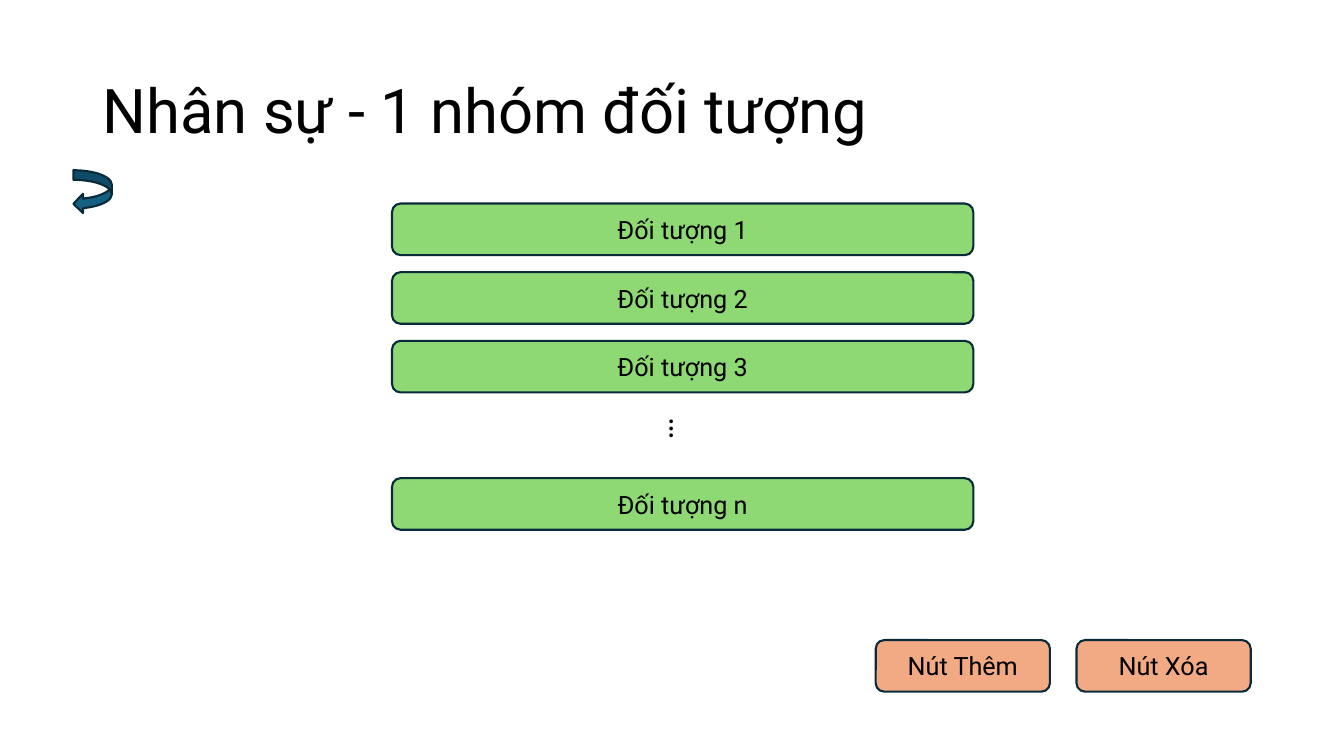
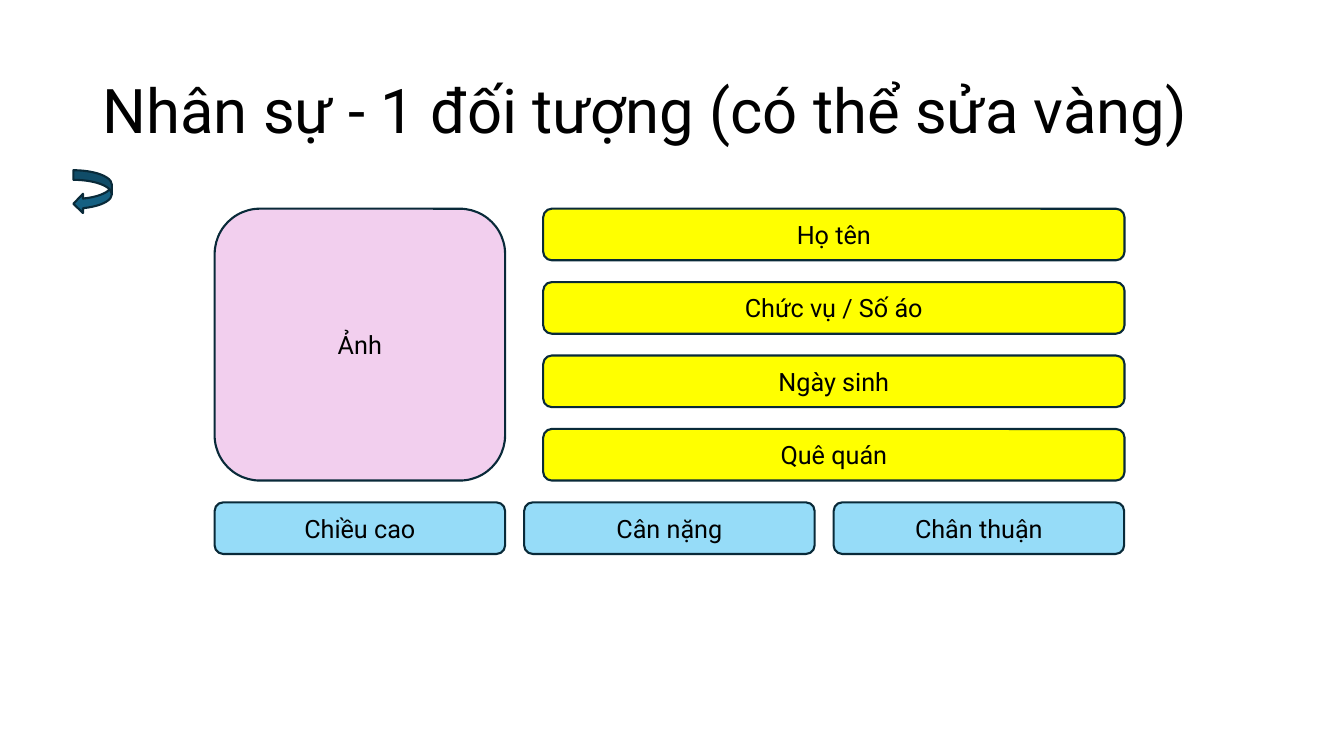
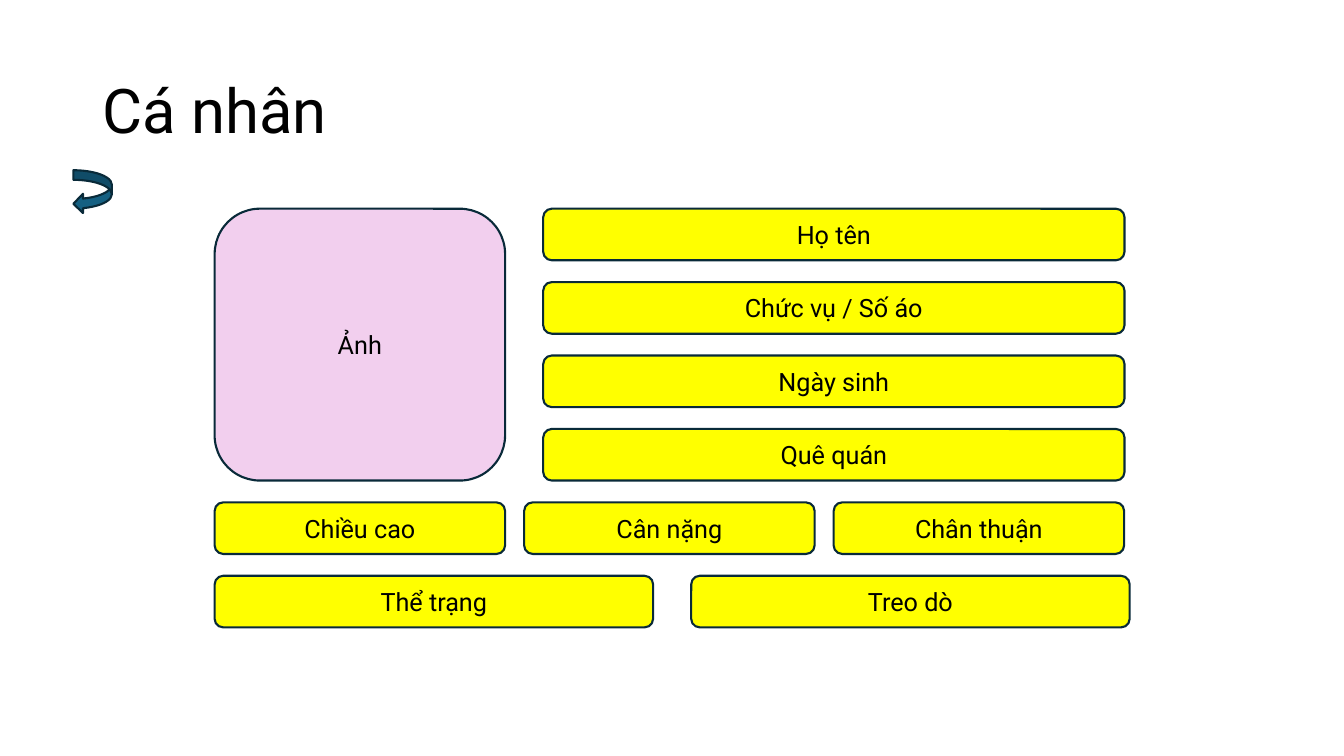
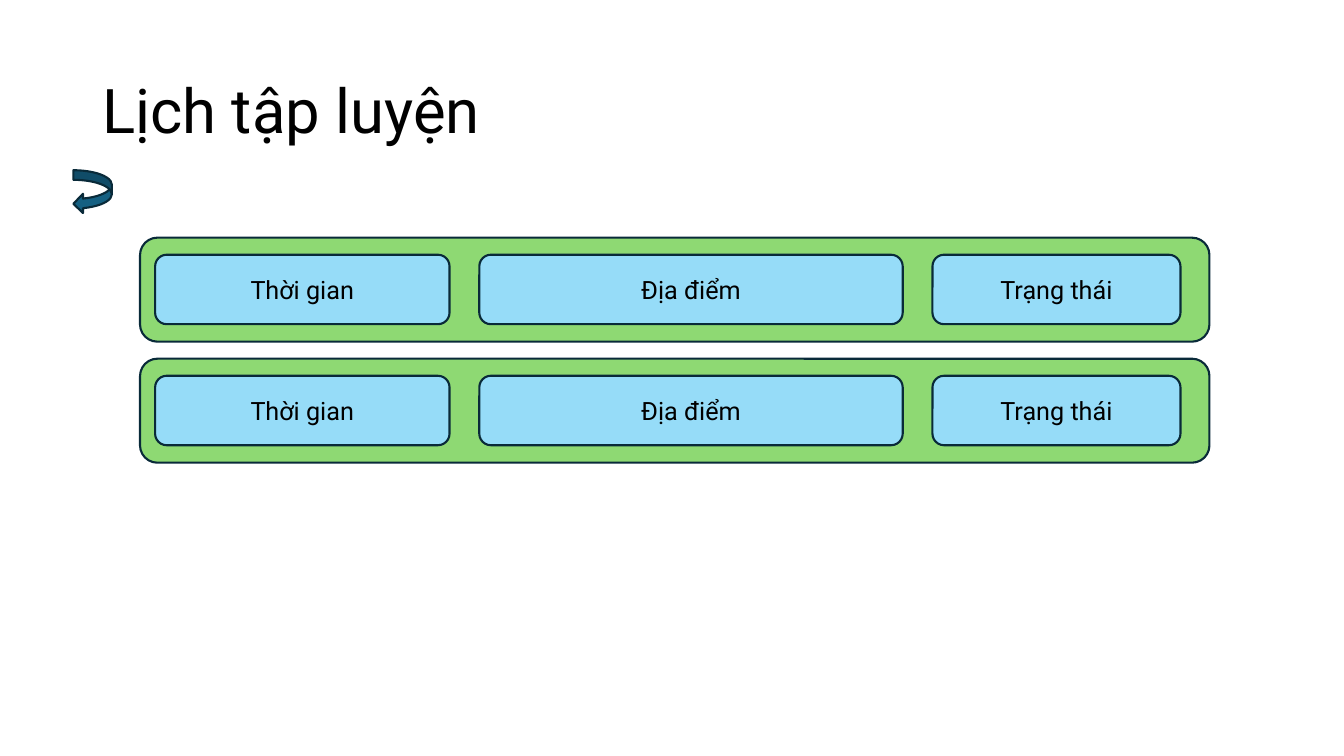
from pptx import Presentation
from pptx.dml.color import RGBColor
from pptx.enum.shapes import MSO_SHAPE
from pptx.enum.text import MSO_ANCHOR, MSO_AUTO_SIZE, PP_ALIGN
from pptx.util import Cm, Pt

ROUNDED = MSO_SHAPE.ROUNDED_RECTANGLE
BACK_ARROW = MSO_SHAPE.CURVED_LEFT_ARROW
MIDDLE = MSO_ANCHOR.MIDDLE
LEFT, CENTER = PP_ALIGN.LEFT, PP_ALIGN.CENTER
FIXED_SIZE, GROW = MSO_AUTO_SIZE.NONE, MSO_AUTO_SIZE.SHAPE_TO_FIT_TEXT

BLACK = RGBColor(0x00, 0x00, 0x00)
OUTLINE = RGBColor(0x09, 0x2A, 0x39)
TEAL = RGBColor(0x15, 0x60, 0x82)
GREEN = RGBColor(0x8E, 0xD9, 0x73)
ORANGE = RGBColor(0xF2, 0xAA, 0x84)
PINK = RGBColor(0xF2, 0xCF, 0xEE)
YELLOW = RGBColor(0xFF, 0xFF, 0x00)
BLUE = RGBColor(0x96, 0xDC, 0xF8)

FONT = "Roboto"
TITLE_ONLY = 5

# Lengths in centimetres
BAR_WIDTH, BAR_HEIGHT = 14.65, 1.3
FORM_LEFT, FORM_TOP, FORM_PITCH = 5.41, 5.26, 1.85


class Wireframe:
    """Holds the deck, its style and the page being drawn; lengths are in cm."""

    def __init__(self):
        self.deck = Presentation()
        self.deck.slide_width = Cm(33.87)
        self.deck.slide_height = Cm(19.05)
        self.page = None

    def add_page(self, title):
        """Start a page with its title and back arrow."""
        self.page = self.deck.slides.add_slide(self.deck.slide_layouts[TITLE_ONLY])
        box = self.page.shapes.title
        box.left, box.top, box.width, box.height = Cm(2.33), Cm(1.02), Cm(29.21), Cm(3.68)
        frame = box.text_frame
        frame.auto_size = FIXED_SIZE
        frame.vertical_anchor = MIDDLE
        self.set_text(frame, title, 44, LEFT)
        frame.paragraphs[0].line_spacing = 0.9
        self.add_shape(BACK_ARROW, 1.85, 4.29, 0.97, 1.09, TEAL)

    def set_text(self, frame, text, size, align):
        frame.text = text
        para = frame.paragraphs[0]
        para.alignment = align
        for span in para.runs:
            span.font.name = FONT
            span.font.size = Pt(size)
            span.font.color.rgb = BLACK

    def add_shape(self, kind, left, top, width, height, fill):
        shape = self.page.shapes.add_shape(kind, Cm(left), Cm(top), Cm(width), Cm(height))
        shape.shadow.inherit = False
        shape.fill.solid()
        shape.fill.fore_color.rgb = fill
        shape.line.color.rgb = OUTLINE
        shape.line.width = Pt(1.5)
        return shape

    def add_box(self, text, left, top, width, height, fill):
        frame = self.add_shape(ROUNDED, left, top, width, height, fill).text_frame
        frame.vertical_anchor = MIDDLE
        self.set_text(frame, text, 18, CENTER)

    def add_row(self, labels, left, top, width, pitch, fill):
        for index, label in enumerate(labels):
            self.add_box(label, left + index * pitch, top, width, BAR_HEIGHT, fill)

    def add_vertical_dots(self, left, top, width, height):
        box = self.page.shapes.add_textbox(Cm(left), Cm(top), Cm(width), Cm(height))
        box.rotation = 90
        box.text_frame.word_wrap = True
        box.text_frame.auto_size = GROW
        self.set_text(box.text_frame, "…", 24, LEFT)

    def add_profile(self, measure_fill):
        """Draw the photo, the personal fields beside it and the measures below."""
        fields = ("Họ tên", "Chức vụ / Số áo", "Ngày sinh", "Quê quán")
        photo_height = (len(fields) - 1) * FORM_PITCH + BAR_HEIGHT
        self.add_box("Ảnh", FORM_LEFT, FORM_TOP, 7.32, photo_height, PINK)
        for row, field in enumerate(fields):
            self.add_box(field, 13.69, FORM_TOP + row * FORM_PITCH,
                         BAR_WIDTH, BAR_HEIGHT, YELLOW)
        self.add_row(("Chiều cao", "Cân nặng", "Chân thuận"), FORM_LEFT,
                     FORM_TOP + len(fields) * FORM_PITCH, 7.32, 7.8, measure_fill)

    def add_session(self, top):
        """Draw one training session: a band with three cells."""
        self.add_shape(ROUNDED, 3.53, top, 26.95, 2.62, GREEN)
        left, gap = 3.91, 0.75
        for label, width in (("Thời gian", 7.42), ("Địa điểm", 10.67), ("Trạng thái", 6.25)):
            self.add_box(label, left, top + 0.43, width, 1.75, BLUE)
            left += width + gap


def main():
    wireframe = Wireframe()

    wireframe.add_page("Nhân sự - 1 nhóm đối tượng")
    for row, suffix in ((0, "1"), (1, "2"), (2, "3"), (4, "n")):
        wireframe.add_box(f"Đối tượng {suffix}", 9.88, 5.13 + row * 1.73,
                          BAR_WIDTH, BAR_HEIGHT, GREEN)
    wireframe.add_vertical_dots(16.56, 10.29, 1.3, 1.27)
    wireframe.add_row(("Nút Thêm", "Nút Xóa"), 22.07, 16.13, 4.39, 5.06, ORANGE)

    wireframe.add_page("Nhân sự - 1 đối tượng (có thể sửa vàng)")
    wireframe.add_profile(BLUE)

    wireframe.add_page("Cá nhân")
    wireframe.add_profile(YELLOW)
    wireframe.add_row(("Thể trạng", "Treo dò"), FORM_LEFT, FORM_TOP + 5 * FORM_PITCH,
                      11.05, 12.01, YELLOW)

    wireframe.add_page("Lịch tập luyện")
    for session in range(2):
        wireframe.add_session(5.99 + session * 3.05)

    wireframe.deck.save("out.pptx")


if __name__ == "__main__":
    main()
